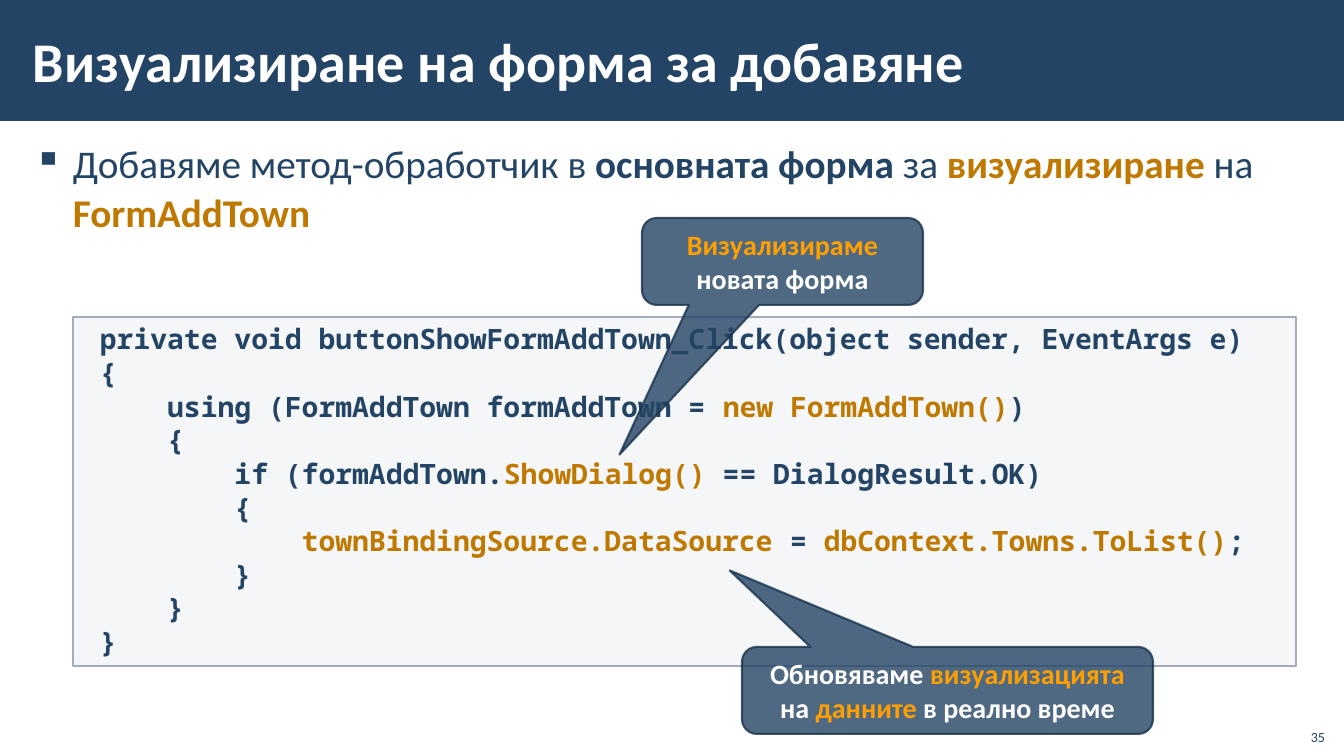
"""Build the slide about showing the form that adds a town."""
from dataclasses import dataclass

import pptx
import pptx.dml.color
import pptx.enum.shapes
import pptx.enum.text
import pptx.oxml
import pptx.oxml.ns
import pptx.util

TITLE = "Визуализиране на форма за добавяне"
NUMBER = "35"
BULLET = [
    ("Добавяме метод-обработчик в ", "text"),
    ("основната форма ", "strong"),
    ("за ", "text"),
    ("визуализиране", "accent"),
    (" на ", "text"),
    ("FormAddTown", "accent"),
]
CODE = [
    [("private void buttonShowFormAddTown_Click(object sender, EventArgs e)", "code")],
    [("{", "code")],
    [("    using (FormAddTown formAddTown = ", "code"), ("new FormAddTown()", "code_accent"), (")", "code")],
    [("    {", "code")],
    [("        if (formAddTown.", "code"), ("ShowDialog() ", "code_accent"), ("== DialogResult.OK)", "code")],
    [("        {", "code")],
    [("            townBindingSource.DataSource ", "code_accent"), ("=", "code"),
     (" dbContext.Towns.ToList()", "code_accent"), (";", "code")],
    [("        }", "code")],
    [("    }", "code")],
    [("}", "code")],
]
CALLOUTS = [
    ((742, 647, 411, 87), (-0.53, -1.38, 0.17),
     [("Обновяваме ", "note"), ("визуализацията", "note_accent"), (" на ", "note"),
      ("данните", "note_accent"), (" в реално време", "note")]),
    ((642, 218, 281, 87), (-0.58, 2.22, 0.17),
     [("Визуализираме", "note_accent"), (" новата форма", "note")]),
]
WIDTH, HEIGHT = 1344, 756
BAND = (0, 0, WIDTH, 121)
TITLE_BOX = (21, 11, 1132, 98)
BODY_BOX = (22, 133, 1302, 610)
CODE_BOX = (73, 317, 1223, 349)
NUMBER_BOX = (1295, 718, 40, 32)
HANG = 39


@dataclass(frozen=True)
class Theme:
    """Colours, fonts and type sizes of the slide."""
    navy: str = "234465"
    white: str = "FFFFFF"
    amber: str = "BF7800"
    orange: str = "FFA000"
    panel: str = "C2C7D2"
    panel_line: str = "A3ABBC"
    note_line: str = "1A334C"
    sans: str = "Calibri"
    mono: str = "Noto Sans Mono"
    title: int = 40
    body: int = 28
    small: int = 20
    number: int = 10


T = Theme()
STYLES = {
    "title": (T.sans, T.title, T.white, True),
    "number": (T.sans, T.number, T.navy, False),
    "text": (T.sans, T.body, T.navy, False),
    "strong": (T.sans, T.body, T.navy, True),
    "accent": (T.sans, T.body, T.amber, True),
    "code": (T.mono, T.small, T.navy, True),
    "code_accent": (T.mono, T.small, T.amber, True),
    "note": (T.sans, T.small, T.white, True),
    "note_accent": (T.sans, T.small, T.orange, True),
}
ALIGN = pptx.enum.text.PP_ALIGN
ANCHOR = pptx.enum.text.MSO_ANCHOR
SHAPE = pptx.enum.shapes.MSO_SHAPE


def px(n):
    """Turn pixels into EMU."""
    return pptx.util.Emu(round(n * 914400 / 100.8))


def rgb(color):
    """Turn a hex string into a colour."""
    return pptx.dml.color.RGBColor.from_string(color)


def paint(fill, color, opacity=100):
    """Give a fill a solid colour with an opacity in percent."""
    fill.solid()
    fill.fore_color.rgb = rgb(color)
    if opacity < 100:
        clr = fill._xPr.find(".//" + pptx.oxml.ns.qn("a:srgbClr"))
        alpha = pptx.oxml.parse_xml(f'<a:alpha {pptx.oxml.ns.nsdecls("a")} val="{opacity * 1000}"/>')
        clr.append(alpha)


def add_box(slide, kind, box, fill, opacity=100, line=None, weight=1, line_opacity=100):
    """Add a flat preset shape."""
    sp = slide.shapes.add_shape(kind, *map(px, box))
    sp.shadow.inherit = False
    paint(sp.fill, fill, opacity)
    if line:
        sp.line.width = pptx.util.Pt(weight)
        paint(sp.line.fill, line, line_opacity)
    else:
        sp.line.fill.background()
    return sp


def write(sp, lines, align=ALIGN.LEFT, anchor=ANCHOR.TOP, insets=(10, 5)):
    """Fill a shape with paragraphs of styled runs."""
    tf = sp.text_frame
    tf.word_wrap = True
    tf.auto_size = pptx.enum.text.MSO_AUTO_SIZE.NONE
    tf.vertical_anchor = anchor
    tf.margin_left = tf.margin_right = px(insets[0])
    tf.margin_top = tf.margin_bottom = px(insets[1])
    for i, line in enumerate(lines):
        p = tf.add_paragraph() if i else tf.paragraphs[0]
        p.alignment = align
        for text, style in line:
            r = p.add_run()
            r.text = text
            name, size, color, bold = STYLES[style]
            r.font.name, r.font.size, r.font.bold = name, pptx.util.Pt(size), bold
            r.font.color.rgb = rgb(color)
    return tf


def add_bullet(p):
    """Give a paragraph a hanging square bullet."""
    p.line_spacing = 1.05
    p.space_after = pptx.util.Pt(6)
    pPr = p._p.get_or_add_pPr()
    pPr.set("marL", str(px(HANG)))
    pPr.set("indent", str(-px(HANG)))
    ns = pptx.oxml.ns.nsdecls("a")
    for xml in (f'<a:buClr {ns}><a:srgbClr val="{T.navy}"/></a:buClr>', f'<a:buChar {ns} char="▪"/>'):
        pPr.append(pptx.oxml.parse_xml(xml))


def main():
    """Compose and save the slide."""
    prs = pptx.Presentation()
    prs.slide_width, prs.slide_height = px(WIDTH), px(HEIGHT)
    slide = prs.slides.add_slide(prs.slide_layouts[5])
    band = add_box(slide, SHAPE.RECTANGLE, BAND, T.navy)
    slide.shapes._spTree.insert(2, band._element)

    title = slide.shapes.title
    title.left, title.top, title.width, title.height = map(px, TITLE_BOX)
    write(title, [[(TITLE, "title")]], anchor=ANCHOR.MIDDLE, insets=(12, 4))

    number = slide.shapes.add_textbox(*map(px, NUMBER_BOX))
    write(number, [[(NUMBER, "number")]], ALIGN.RIGHT, ANCHOR.BOTTOM)

    body = slide.shapes.add_textbox(*map(px, BODY_BOX))
    add_bullet(write(body, [BULLET], insets=(12, 4)).paragraphs[0])

    panel = add_box(slide, SHAPE.RECTANGLE, CODE_BOX, T.panel, 15, T.panel_line)
    write(panel, CODE, insets=(27, 5))

    for box, adjustments, line in CALLOUTS:
        note = add_box(slide, SHAPE.ROUNDED_RECTANGULAR_CALLOUT, box, T.navy, 80, T.note_line, 1.5, 80)
        for i, value in enumerate(adjustments):
            note.adjustments[i] = value
        write(note, [line], ALIGN.CENTER, ANCHOR.MIDDLE)
    prs.save("out.pptx")


if __name__ == "__main__":
    main()
